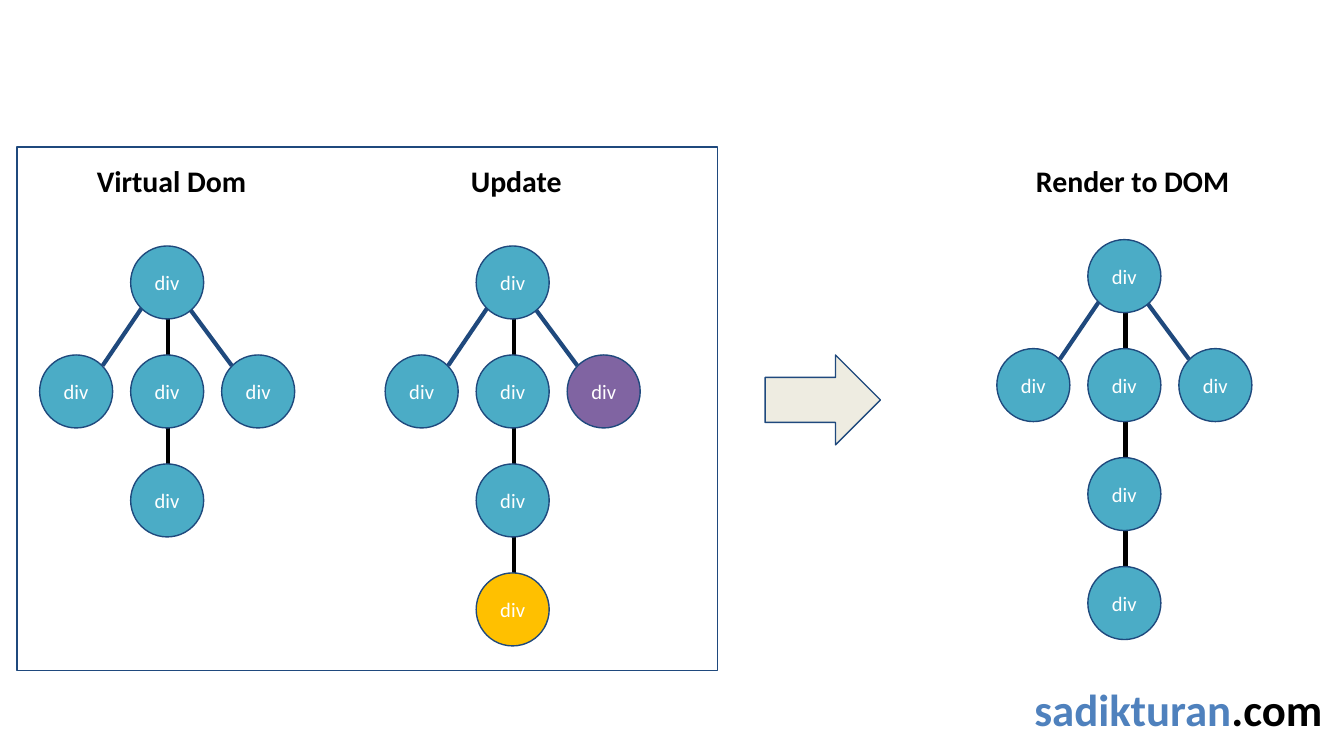
from lxml.etree import SubElement
from pptx import Presentation
from pptx.dml.color import RGBColor
from pptx.enum.shapes import MSO_CONNECTOR, MSO_SHAPE
from pptx.enum.text import MSO_ANCHOR, PP_ALIGN
from pptx.oxml.ns import qn
from pptx.util import Cm, Pt

NAVY = RGBColor(0x1F, 0x49, 0x7D)
TEAL = RGBColor(0x4B, 0xAC, 0xC6)
PURPLE = RGBColor(0x80, 0x64, 0xA2)
AMBER = RGBColor(0xFF, 0xC0, 0x00)
CREAM = RGBColor(0xEE, 0xEC, 0xE1)
BLUE = RGBColor(0x4F, 0x81, 0xBD)
BLACK = RGBColor(0, 0, 0)
WHITE = RGBColor(0xFF, 0xFF, 0xFF)

NODE_SIZE = 1.38
COLUMN_STEP = 1.72
ROW_STEP = 2.06

NODE_FONT = {"name": "Calibri", "size": Pt(11), "bold": False}
HEADING_FONT = {"name": "Calibri", "size": Pt(16), "bold": True}
SITE_FONT = {"name": "Calibri", "size": Pt(24), "bold": True}
NODE_FRAME = {"vertical_anchor": MSO_ANCHOR.MIDDLE, "word_wrap": True}
LABEL_FRAME = {"vertical_anchor": MSO_ANCHOR.TOP, "word_wrap": True}


def apply(target, values):
    for attribute, value in values.items():
        setattr(target, attribute, value)


def margins(side, end):
    return {
        "margin_left": Cm(side), "margin_right": Cm(side),
        "margin_top": Cm(end), "margin_bottom": Cm(end),
    }


def add_run(paragraph, text, font, color):
    run = paragraph.add_run()
    run.text = text
    apply(run.font, font)
    run.font.color.rgb = color


def draw_outlined(slide, preset, box, fill=None):
    outlined = slide.shapes.add_shape(preset, *map(Cm, box))
    outlined.shadow.inherit = False
    if fill is None:
        outlined.fill.background()
    else:
        outlined.fill.solid()
        outlined.fill.fore_color.rgb = fill
    outlined.line.color.rgb = NAVY
    outlined.line.width = Pt(0.75)
    return outlined


def draw_branch(slide, start, end, color):
    branch = slide.shapes.add_connector(
        MSO_CONNECTOR.STRAIGHT, *map(Cm, (*start, *end)))
    branch.line.color.rgb = color
    branch.line.width = Pt(2.25)
    SubElement(branch._element.spPr, qn("a:effectLst"))


def draw_node(slide, left, top, fill):
    node = draw_outlined(
        slide, MSO_SHAPE.OVAL, (left, top, NODE_SIZE, NODE_SIZE), fill)
    apply(node.text_frame, NODE_FRAME | margins(0.18, 0.18))
    paragraph = node.text_frame.paragraphs[0]
    paragraph.alignment = PP_ALIGN.CENTER
    add_run(paragraph, "div", NODE_FONT, WHITE)


def draw_tree(slide, left, top, depth, changed):
    trunk = left + 2.43
    draw_branch(slide, (trunk, top + 1.02),
                (trunk, top + (depth - 1) * ROW_STEP), BLACK)
    draw_branch(slide, (left + 1.93, top + 1.17), (left + 1.19, top + 2.26), NAVY)
    draw_branch(slide, (left + 2.54, top + 0.79), (left + 3.63, top + 2.26), NAVY)
    positions = [(1, row) for row in range(depth)] + [(0, 1), (2, 1)]
    for column, row in positions:
        draw_node(slide, left + column * COLUMN_STEP, top + row * ROW_STEP,
                  changed.get((column, row), TEAL))


def draw_label(slide, box, parts, font, inset):
    label = slide.shapes.add_textbox(*map(Cm, box)).text_frame
    apply(label, LABEL_FRAME | margins(*inset))
    for text, color in parts:
        add_run(label.paragraphs[0], text, font, color)


def draw_stage(slide, heading, heading_box, tree_box, depth, changed):
    draw_label(slide, heading_box, [(heading, BLACK)], HEADING_FONT, (0.18, 0.18))
    draw_tree(slide, *tree_box, depth, changed)


def main():
    presentation = Presentation()
    presentation.slide_width = Cm(25.4)
    presentation.slide_height = Cm(14.29)
    slide = presentation.slides.add_slide(presentation.slide_layouts[6])

    draw_outlined(slide, MSO_SHAPE.RECTANGLE, (0.32, 2.78, 13.24, 9.9))
    stages = [
        ("Virtual Dom", (1.65, 2.9, 3.28, 1.07), (0.75, 4.65), 3, {}),
        ("Update", (8.72, 2.9, 3.28, 1.07), (7.28, 4.65), 4,
         {(2, 1): PURPLE, (1, 3): AMBER}),
        ("Render to DOM", (19.4, 2.9, 5.2, 1.07), (18.84, 4.53), 4, {}),
    ]
    for stage in stages:
        draw_stage(slide, *stage)
    draw_outlined(slide, MSO_SHAPE.RIGHT_ARROW, (14.46, 6.71, 2.18, 1.7), CREAM)
    draw_label(slide, (19.3, 12.75, 6.02, 1.27),
               [("sadikturan", BLUE), (".com", BLACK)], SITE_FONT, (0.25, 0.13))
    presentation.save("out.pptx")


if __name__ == "__main__":
    main()
